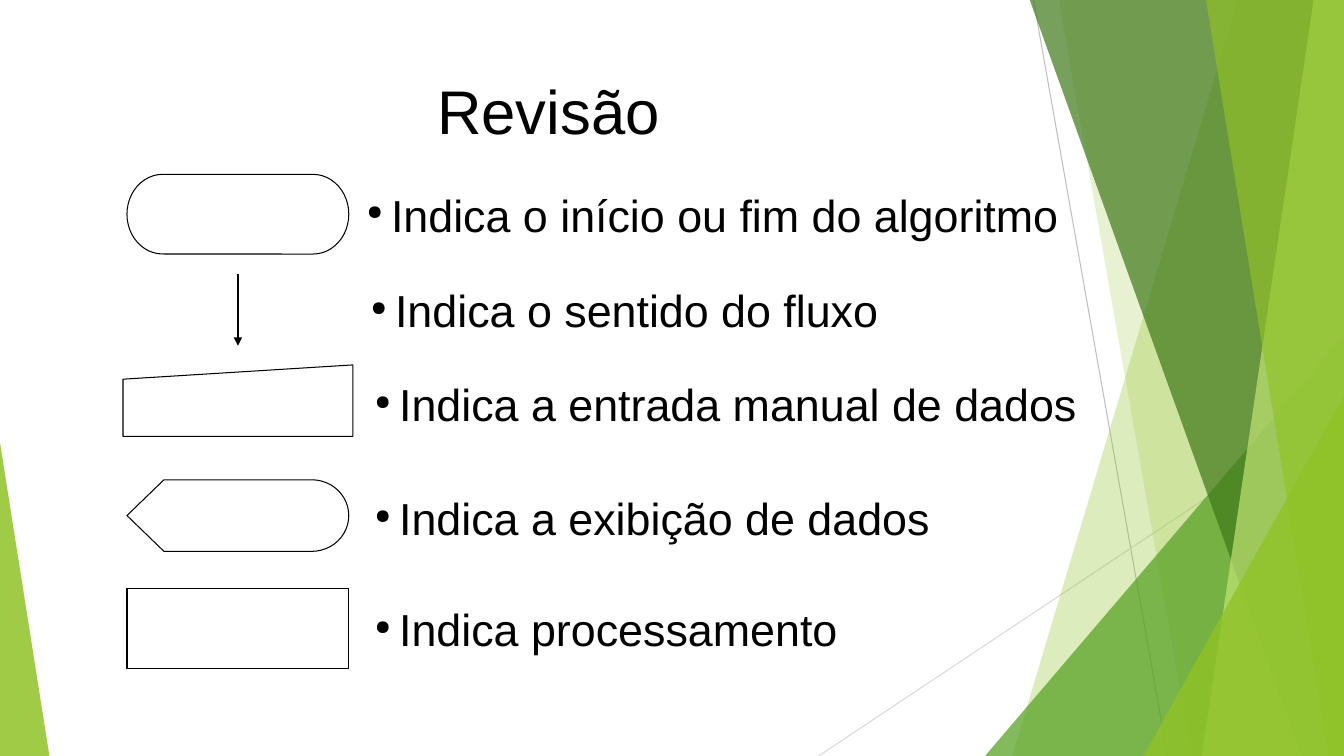
from lxml import etree
from pptx import Presentation
from pptx.dml.color import RGBColor
from pptx.enum.shapes import MSO_CONNECTOR, MSO_SHAPE
from pptx.enum.text import MSO_ANCHOR, PP_ALIGN
from pptx.oxml.ns import qn
from pptx.util import Inches, Pt

STRAIGHT = MSO_CONNECTOR.STRAIGHT
TERMINATOR = MSO_SHAPE.FLOWCHART_TERMINATOR
MANUAL_INPUT = MSO_SHAPE.FLOWCHART_MANUAL_INPUT
DISPLAY = MSO_SHAPE.FLOWCHART_DISPLAY
PROCESS = MSO_SHAPE.FLOWCHART_PROCESS
TOP = MSO_ANCHOR.TOP
LEFT, CENTER = PP_ALIGN.LEFT, PP_ALIGN.CENTER

WIDTH, HEIGHT = 13.33, 7.5
EDGE = -0.01
BLACK, WHITE, LIME = "000000", "FFFFFF", "90C226"

GUIDE_LINES = [
    ((10.25, 0), (11.58, HEIGHT), "BFBFBF"),
    ((WIDTH, 4.03), (8.12, HEIGHT), "D9D9D9"),
]


def right_panel(top_left, bottom_left):
    """Return the corners of a panel that reaches the right edge."""
    return [(top_left, EDGE), (WIDTH, EDGE), (WIDTH, HEIGHT), (bottom_left, HEIGHT)]


def right_wedge(left, top):
    """Return the corners of a triangle in the bottom right corner."""
    return [(left, HEIGHT), (WIDTH, top), (WIDTH, HEIGHT)]


PANELS = [
    (right_panel(12.28, 10.04), LIME, 30),
    (right_panel(10.5, 11.82), LIME, 20),
    (right_wedge(9.77, 3.33), "54A021", 72),
    (right_panel(10.21, 12.91), "3F7819", 70),
    (right_panel(13.03, 11.92), "C0E474", 70),
    (right_panel(11.96, 13.18), LIME, 65),
    (right_wedge(11.34, 3.93), LIME, 80),
    ([(0, HEIGHT), (0, 4.39), (0.49, HEIGHT)], LIME, 85),
]

SYMBOLS = [
    (TERMINATOR, 1.26, 1.73, 2.2, 0.79),
    (MANUAL_INPUT, 1.22, 3.62, 2.28, 0.71),
    (DISPLAY, 1.26, 4.76, 2.2, 0.71),
    (PROCESS, 1.26, 5.84, 2.2, 0.79),
]

MEANINGS = [
    ("Indica o início ou fim do algoritmo", 3.54, 1.81, 7.1),
    ("Indica o sentido do fluxo", 3.58, 2.76, 5.59),
    ("Indica a entrada manual de dados", 3.62, 3.69, 7.54),
    ("Indica a exibição de dados", 3.62, 4.82, 7.61),
    ("Indica processamento", 3.62, 5.92, 5.59),
]


def color(value):
    """Turn a hex string into a colour."""
    return RGBColor.from_string(value)


def set_values(target, values):
    """Set each named attribute on the target."""
    for name, value in values.items():
        setattr(target, name, value)


def add_child(parent, tag, **attributes):
    """Append a DrawingML element with the given attributes."""
    return etree.SubElement(parent, qn(tag), attributes)


def add_line(page, start, end, line_color, width, arrow=False):
    """Draw a straight line, with an arrowhead at its end if asked."""
    points = [Inches(value) for value in (*start, *end)]
    line = page.shapes.add_connector(STRAIGHT, *points)
    line.line.color.rgb = color(line_color)
    line.line.width = Pt(width)
    if arrow:
        add_child(line.line._get_or_add_ln(), "a:tailEnd", type="triangle")
    add_child(line._element.spPr, "a:effectLst")


def add_panel(page, corners, fill_color, opacity):
    """Draw a translucent polygon without an outline."""
    points = [(Inches(x), Inches(y)) for x, y in corners]
    builder = page.shapes.build_freeform(*points[0])
    builder.add_line_segments(points[1:], close=True)
    panel = builder.convert_to_shape()
    panel.shadow.inherit = False
    panel.fill.solid()
    panel.fill.fore_color.rgb = color(fill_color)
    panel.line.fill.background()
    fill = panel._element.spPr.find(qn("a:solidFill"))
    add_child(fill[0], "a:alpha", val=str(opacity * 1000))


def add_symbol(page, kind, *bounds):
    """Draw a white flowchart symbol with a hairline outline."""
    symbol = page.shapes.add_shape(kind, *map(Inches, bounds))
    symbol.shadow.inherit = False
    symbol.fill.solid()
    symbol.fill.fore_color.rgb = color(WHITE)
    symbol.line.color.rgb = color(BLACK)
    symbol.line.width = Pt(0)


def add_bullet(para):
    """Give the paragraph a small round bullet with a hanging indent."""
    properties = para._p.get_or_add_pPr()
    properties.set("marL", str(Inches(0.24)))
    properties.set("indent", str(Inches(-0.24)))
    bullet_color = add_child(properties, "a:buClr")
    add_child(bullet_color, "a:srgbClr", val=BLACK)
    add_child(properties, "a:buSzPct", val="45000")
    add_child(properties, "a:buChar", char="●")


def add_text(page, text, bounds, size, alignment=LEFT, bullet=False):
    """Add a one-paragraph text box."""
    box = page.shapes.add_textbox(*map(Inches, bounds))
    set_values(box.text_frame, {"word_wrap": True, "vertical_anchor": TOP})
    para = box.text_frame.paragraphs[0]
    para.alignment = alignment
    if bullet:
        add_bullet(para)
    span = para.add_run()
    span.text = text
    set_values(span.font, {"name": "Arial", "size": Pt(size)})
    span.font.color.rgb = color(BLACK)


def main():
    """Build the slide and save the deck."""
    deck = Presentation()
    set_values(deck, {"slide_width": Inches(WIDTH), "slide_height": Inches(HEIGHT)})
    page = deck.slides.add_slide(deck.slide_layouts[6])
    for start, end, line_color in GUIDE_LINES:
        add_line(page, start, end, line_color, 0.75)
    for panel in PANELS:
        add_panel(page, *panel)
    add_text(page, "Revisão", (0.74, 0.67, 9.4, 1.44), 44, CENTER)
    for symbol in SYMBOLS:
        add_symbol(page, *symbol)
    add_line(page, (2.36, 2.72), (2.36, 3.43), BLACK, 0, arrow=True)
    for text, left, top, width in MEANINGS:
        add_text(page, text, (left, top, width, 0.6), 32, bullet=True)
    deck.save("out.pptx")


if __name__ == "__main__":
    main()
